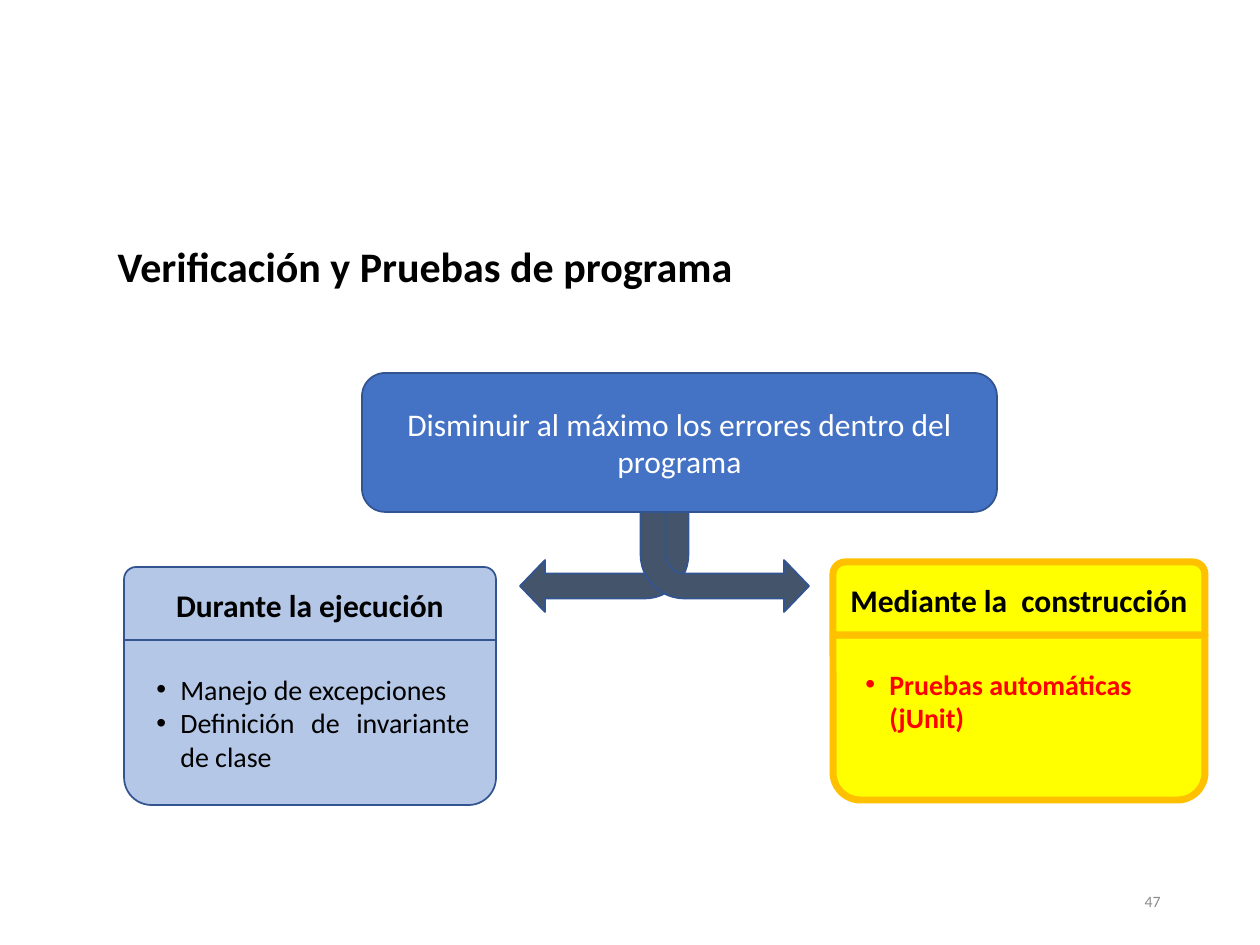
from pptx import Presentation
from pptx.dml.color import RGBColor
from pptx.enum.shapes import MSO_SHAPE
from pptx.enum.text import MSO_ANCHOR, PP_ALIGN
from pptx.util import Pt
from lxml import etree

ROUND = MSO_SHAPE.ROUNDED_RECTANGLE
TAB = MSO_SHAPE.ROUND_2_SAME_RECTANGLE
BENT = MSO_SHAPE.BENT_ARROW
MID, TOP = MSO_ANCHOR.MIDDLE, MSO_ANCHOR.TOP
LEFT, MIDDLE, RIGHT, FULL = (PP_ALIGN.LEFT, PP_ALIGN.CENTER,
                             PP_ALIGN.RIGHT, PP_ALIGN.JUSTIFY)
NS = "{http://schemas.openxmlformats.org/drawingml/2006/main}"
SCALE = 914400 / 126
FONT = "Calibri"
HUES = {"black": "000000", "white": "FFFFFF", "blue": "4472C4",
        "edge": "325491", "slate": "44546A", "pale": "B4C7E7",
        "yellow": "FFFF00", "gold": "FFC000", "red": "FF0000",
        "grey": "8C8C8C"}


def emu(*sizes):
    """Turn pixels into EMU."""
    return [round(size * SCALE) for size in sizes]


def hue(name):
    """Return a named colour."""
    return RGBColor.from_string(HUES[name])


def write(frame, lines, size, color, bold=False, anchor=TOP):
    """Fill a text frame with (text, alignment) lines."""
    frame.word_wrap = True
    frame.vertical_anchor = anchor
    for i, (text, align) in enumerate(lines):
        para = frame.add_paragraph() if i else frame.paragraphs[0]
        para.text = text
        para.alignment = align
        font = para.font
        font.name, font.size, font.bold = FONT, Pt(size), bold
        font.color.rgb = hue(color)


def bullet(para):
    """Give a paragraph a hanging round bullet."""
    props = para._p.get_or_add_pPr()
    indent = emu(24)[0]
    props.set("marL", str(indent))
    props.set("indent", str(-indent))
    etree.SubElement(props, NS + "buFont", typeface="Arial")
    etree.SubElement(props, NS + "buChar", char="•")
    # The schema wants bullets ahead of the default run properties.
    for run in props.findall(NS + "defRPr"):
        props.append(run)


def block(slide, kind, box, fill, line="edge", width=1):
    """Add a filled, outlined shape."""
    shape = slide.shapes.add_shape(kind, *emu(*box))
    shape.shadow.inherit = False
    shape.fill.solid()
    shape.fill.fore_color.rgb = hue(fill)
    shape.line.color.rgb = hue(line)
    shape.line.width = Pt(width)
    return shape


def label(slide, box, lines, size, color, bold=False, anchor=TOP):
    """Add a text box."""
    frame = slide.shapes.add_textbox(*emu(*box)).text_frame
    write(frame, lines, size, color, bold, anchor)
    return frame


def title(slide, box, text):
    """Place and format the title."""
    head = slide.shapes.title
    head.left, head.top, head.width, head.height = emu(*box)
    write(head.text_frame, [(text, LEFT)], 24, "black", True)


def goal(slide, box, text):
    """Draw the goal at the top of the tree."""
    shape = block(slide, ROUND, box, "blue")
    write(shape.text_frame, [(text, MIDDLE)], 18, "white", anchor=MID)


def fork(slide, box, overlap):
    """Draw two bent arrows that part from a shared stem."""
    x, y, w, h = box
    span = (w + overlap) / 2
    for start, flip in ((x, False), (x + w - span, True)):
        arrow = block(slide, BENT, (start, y, span, h), "slate")
        arrow.rotation = 180
        for i, value in enumerate((0.25, 0.26, 0.25, 0.44)):
            arrow.adjustments[i] = value
        if flip:
            arrow.element.spPr.xfrm.set("flipH", "1")


def card(slide, box, head, items, fill, line, width, color, bold):
    """Draw a headed card with bulleted items."""
    x, y, w, h = box
    cap = 73
    body = block(slide, TAB, (x, y + cap, w, h - cap), fill, line, width)
    body.rotation = 180
    frame = label(slide, (x + 20, y + cap + 26, w - 34, h - cap - 50),
                  items, 16, color, bold)
    for para in frame.paragraphs:
        bullet(para)
    top = block(slide, TAB, (x, y, w, cap), fill, line, width)
    write(top.text_frame, [(head, MIDDLE)], 18, "black", True, MID)


def build():
    """Build the slide and save it."""
    deck = Presentation()
    deck.slide_width, deck.slide_height = emu(1260, 945)
    slide = deck.slides.add_slide(deck.slide_layouts[5])
    title(slide, (105, 234, 674, 63), "Verificación y Pruebas de programa")
    goal(slide, (362, 373, 635, 139),
         "Disminuir al máximo los errores dentro del programa")
    fork(slide, (520, 512, 289, 100), 48)
    card(slide, (124, 567, 372, 238), "Durante la ejecución",
         [("Manejo de excepciones", LEFT),
          ("Definición de invariante de clase", FULL)],
         "pale", "edge", 1, "black", False)
    card(slide, (833, 562, 372, 238), "Mediante la  construcción",
         [("Pruebas automáticas (jUnit)", LEFT)],
         "yellow", "gold", 4, "red", True)
    label(slide, (890, 876, 283, 50), [("47", RIGHT)], 9, "grey", anchor=MID)
    deck.save("out.pptx")


build()
